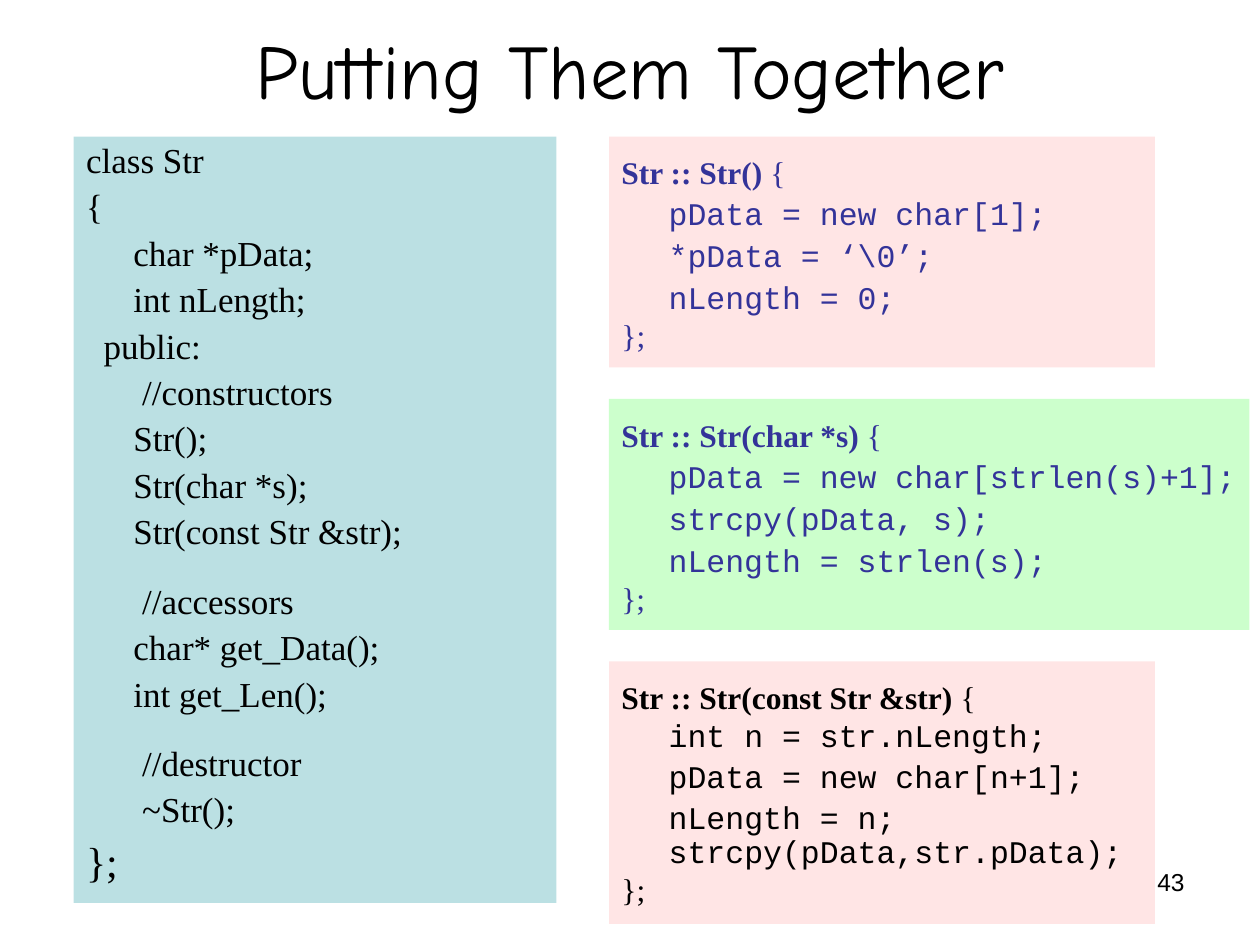
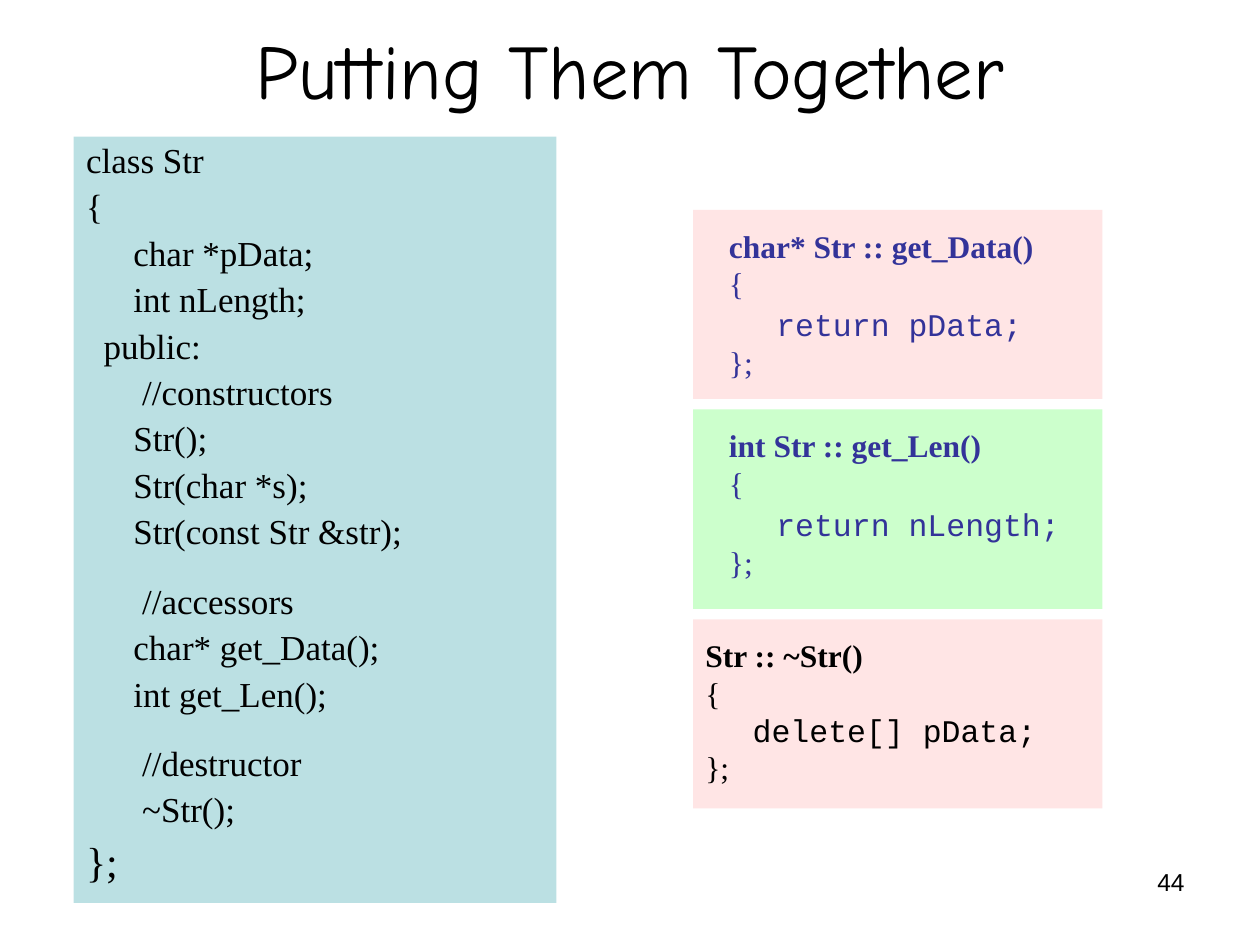
from dataclasses import dataclass

from lxml import etree
from pptx import Presentation
from pptx.dml.color import RGBColor
from pptx.enum.shapes import MSO_SHAPE
from pptx.enum.text import MSO_ANCHOR, MSO_AUTO_SIZE, PP_ALIGN
from pptx.oxml.ns import qn
from pptx.util import Emu, Pt

RECTANGLE = MSO_SHAPE.RECTANGLE
TOP, MIDDLE = MSO_ANCHOR.TOP, MSO_ANCHOR.MIDDLE
LEFT, CENTER, RIGHT = PP_ALIGN.LEFT, PP_ALIGN.CENTER, PP_ALIGN.RIGHT
NO_AUTOFIT = MSO_AUTO_SIZE.NONE

EMU_PER_PX = 7620  # 120 px to the inch
SLIDE_WIDTH, SLIDE_HEIGHT = 1200, 900
TITLE_AREA = (0, 20, SLIDE_WIDTH, 90)
CLASS_AREA = (70, 130, 460, 730)
NUMBER_AREA = (860, 820, 280, 62)
HANGING_INDENT = 45
METHOD_TOP_INSET = 23


@dataclass(frozen=True)
class Theme:
    black: RGBColor = RGBColor(0x00, 0x00, 0x00)
    indigo: RGBColor = RGBColor(0x33, 0x33, 0x99)
    teal: RGBColor = RGBColor(0xBB, 0xE0, 0xE3)
    pink: RGBColor = RGBColor(0xFF, 0xE5, 0xE5)
    green: RGBColor = RGBColor(0xCC, 0xFF, 0xCC)
    title_font: str = "Comic Neue"
    text_font: str = "Times New Roman"
    code_font: str = "Courier New"
    number_font: str = "Arial"
    title_size: int = 44
    class_size: int = 20
    class_end_size: int = 24
    method_size: int = 18
    number_size: int = 14
    loose: float = 0.9
    tight: float = 0.8
    space_ratio: float = 0.275
    section_gap: int = 13


THEME = Theme()

CLASS_SECTIONS = [
    ["class Str", "{", "\tchar *pData;", "\tint nLength;", "  public:",
     "\t //constructors", "\tStr();", "\tStr(char *s);", "\tStr(const Str &str);"],
    ["\t //accessors", "\tchar* get_Data();", "\tint get_Len();"],
    ["\t //destructor", "\t ~Str();", "};"],
]


@dataclass(frozen=True)
class Method:
    area: tuple
    fill: RGBColor
    color: RGBColor
    signature: str
    statements: tuple
    brace_on_own_line: bool = False
    margin: str = ""
    first_spacing: float = THEME.loose


CONSTRUCTORS = [
    Method((580, 130, 520, 220), THEME.pink, THEME.indigo, "Str :: Str()",
           ("pData = new char[1];", "*pData = ‘\\0’;", "nLength = 0;")),
    Method((580, 380, 610, 220), THEME.green, THEME.indigo, "Str :: Str(char *s)",
           ("pData = new char[strlen(s)+1];", "strcpy(pData, s);",
            "nLength = strlen(s);")),
    Method((580, 630, 520, 250), THEME.pink, THEME.black, "Str :: Str(const Str &str)",
           ("int n = str.nLength;", "pData = new char[n+1];",
            "nLength = n; strcpy(pData,str.pData);"), first_spacing=THEME.tight),
]

ACCESSORS_AND_DESTRUCTOR = [
    Method((660, 200, 390, 180), THEME.pink, THEME.indigo, "char* Str :: get_Data()",
           ("return pData;",), True, "   "),
    Method((660, 390, 390, 190), THEME.green, THEME.indigo, "int Str :: get_Len()",
           ("return nLength;",), True, "   "),
    Method((660, 590, 390, 180), THEME.pink, THEME.black, "Str :: ~Str()",
           ("delete[] pData;",), True, first_spacing=THEME.tight),
]


def px(length):
    return Emu(length * EMU_PER_PX)


def place(shape, area):
    shape.left, shape.top, shape.width, shape.height = map(px, area)


def fill_solid(shape, color):
    shape.fill.solid()
    shape.fill.fore_color.rgb = color


def prepare_frame(shape, anchor=TOP):
    frame = shape.text_frame
    frame.auto_size = NO_AUTOFIT
    frame.word_wrap = True
    frame.vertical_anchor = anchor
    return frame


def add_run(paragraph, text, font, size, color=THEME.black, bold=False):
    run = paragraph.add_run()
    run.text = text
    run.font.name = font
    run.font.size = Pt(size)
    run.font.color.rgb = color
    run.font.bold = bold


def add_code_line(frame, size, spacing, extra_space=0):
    """Return a new hanging paragraph without bullet; a tab in it reaches the indent."""
    is_first = not frame.paragraphs[0].runs
    paragraph = frame.paragraphs[0] if is_first else frame.add_paragraph()
    properties = paragraph._p.get_or_add_pPr()
    properties.set("marL", str(px(HANGING_INDENT)))
    properties.set("indent", str(-px(HANGING_INDENT)))
    etree.SubElement(properties, qn("a:buNone"))
    paragraph.alignment = LEFT
    paragraph.line_spacing = spacing
    before = 0 if is_first else size * spacing * THEME.space_ratio + extra_space
    paragraph.space_before = Pt(before)
    return paragraph


def set_title(slide, text):
    title = slide.shapes.title
    place(title, TITLE_AREA)
    paragraph = prepare_frame(title, MIDDLE).paragraphs[0]
    paragraph.alignment = CENTER
    add_run(paragraph, text, THEME.title_font, THEME.title_size)


def add_slide_number(slide, number):
    box = slide.shapes.add_textbox(*map(px, NUMBER_AREA))
    paragraph = prepare_frame(box).paragraphs[0]
    paragraph.alignment = RIGHT
    add_run(paragraph, str(number), THEME.number_font, THEME.number_size)


def set_class_listing(slide):
    body = slide.placeholders[1]
    place(body, CLASS_AREA)
    fill_solid(body, THEME.teal)
    frame = prepare_frame(body)
    for section in CLASS_SECTIONS:
        for index, line in enumerate(section):
            size = THEME.class_end_size if line == "};" else THEME.class_size
            gap = THEME.section_gap if index == 0 else 0
            paragraph = add_code_line(frame, size, THEME.loose, gap)
            add_run(paragraph, line, THEME.text_font, size)


def add_method_box(slide, method):
    box = slide.shapes.add_shape(RECTANGLE, *map(px, method.area))
    box.shadow.inherit = False
    fill_solid(box, method.fill)
    box.line.fill.background()
    frame = prepare_frame(box)
    frame.margin_top = px(METHOD_TOP_INSET)

    def add_line(spacing=THEME.tight):
        return add_code_line(frame, THEME.method_size, spacing)

    def write(paragraph, text, font=THEME.text_font, bold=False):
        add_run(paragraph, text, font, THEME.method_size, method.color, bold)

    heading = add_line()
    write(heading, method.margin + method.signature, bold=True)
    if method.brace_on_own_line:
        write(add_line(), method.margin + "{")
    else:
        write(heading, " {")
    for index, statement in enumerate(method.statements):
        paragraph = add_line(THEME.loose if index else method.first_spacing)
        write(paragraph, "\t" + method.margin)
        write(paragraph, statement, THEME.code_font)
    write(add_line(), method.margin + "};")


def add_code_slide(presentation, number, methods):
    slide = presentation.slides.add_slide(presentation.slide_layouts[1])
    set_title(slide, "Putting Them Together")
    set_class_listing(slide)
    for method in methods:
        add_method_box(slide, method)
    add_slide_number(slide, number)


def main():
    presentation = Presentation()
    presentation.slide_width = px(SLIDE_WIDTH)
    presentation.slide_height = px(SLIDE_HEIGHT)
    for number, methods in enumerate((CONSTRUCTORS, ACCESSORS_AND_DESTRUCTOR), 43):
        add_code_slide(presentation, number, methods)
    presentation.save("out.pptx")


if __name__ == "__main__":
    main()
